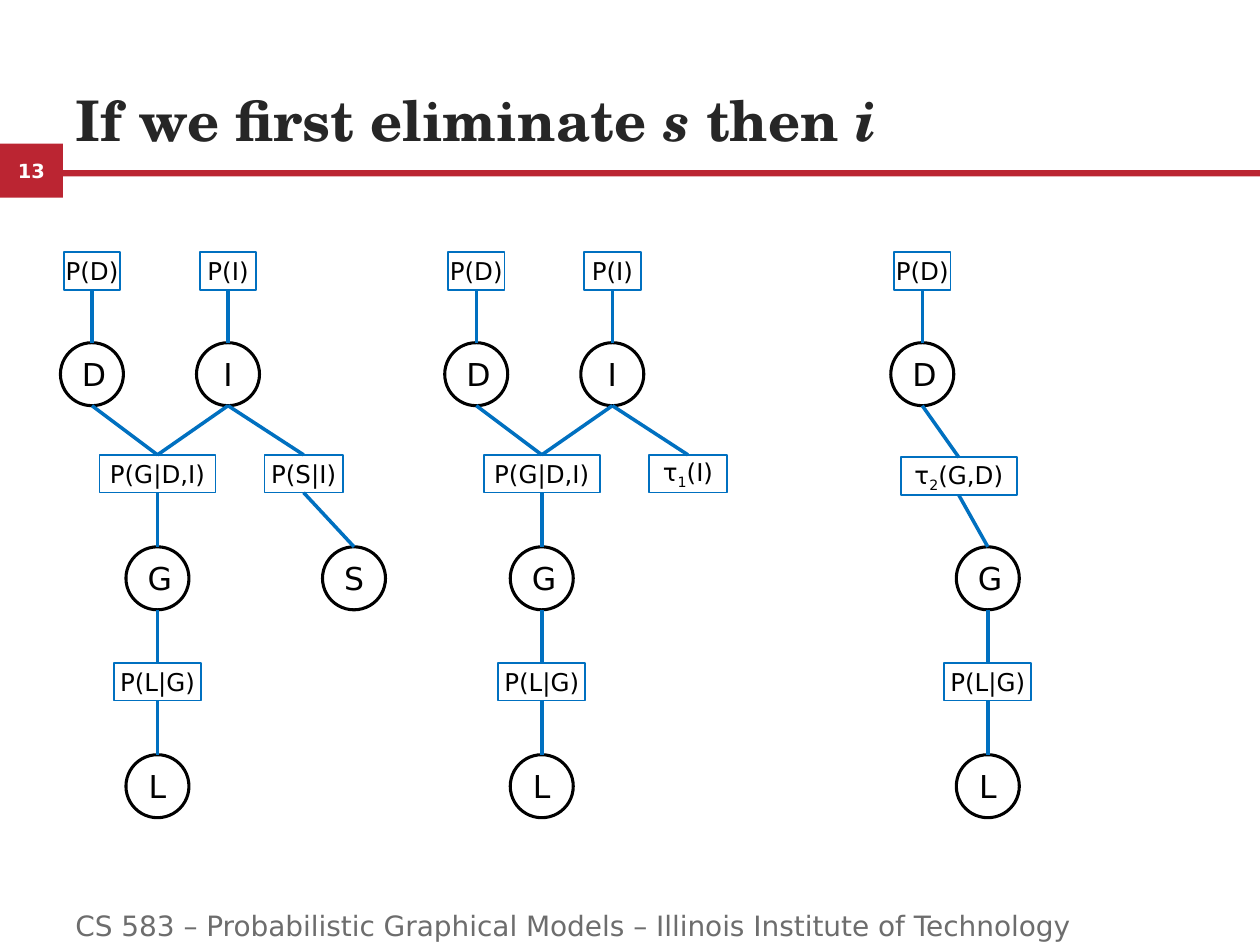
from lxml.etree import SubElement
from pptx import Presentation
from pptx.dml.color import RGBColor
from pptx.enum.shapes import MSO_CONNECTOR as CONN, MSO_SHAPE as SHAPE
from pptx.enum.text import MSO_ANCHOR as ANCHOR, MSO_AUTO_SIZE as AUTO, PP_ALIGN as ALIGN
from pptx.oxml.ns import qn
from pptx.util import Pt

RED = RGBColor(0xBB, 0x25, 0x32)
BLUE = RGBColor(0x00, 0x70, 0xC0)
BLACK = RGBColor(0x00, 0x00, 0x00)
WHITE = RGBColor(0xFF, 0xFF, 0xFF)
DARK = RGBColor(0x26, 0x26, 0x26)
GREY = RGBColor(0x6D, 0x6D, 0x6D)
SANS, SERIF = "DejaVu Sans", "TeX Gyre Schola"

TITLE = [("If we first eliminate ", False), ("s ", True), ("then ", False), ("i", True)]
FOOTER = "CS 583 – Probabilistic Graphical Models – Illinois Institute of Technology"
PAGE = "13"

NODE_SIZE, FACTOR_H = 36, 21.6
VARIABLES = {"D": (0, 213.84), "I": (77.76, 213.84), "G": (37.44, 330.48),
             "S": (149.76, 330.48), "L": (37.44, 449.28)}
FACTORS = {"P(D)": (0, 154.8, 32.4), "P(I)": (77.76, 154.8, 32.4),
           "P(G|D,I)": (37.44, 270.72, 66.24), "P(S|I)": (120.96, 270.72, 44.64),
           "τ_1_(I)": (120.96, 270.72, 44.64), "τ_2_(G,D)": (20.88, 272.16, 66.24),
           "P(L|G)": (37.44, 389.52, 49.68)}

TAIL = [("G", "P(L|G)"), ("P(L|G)", "L")]
PRIOR_D = [("P(D)", "D")]
JOINT = PRIOR_D + [("P(I)", "I"), ("D", "P(G|D,I)"), ("I", "P(G|D,I)"),
                   ("P(G|D,I)", "G")] + TAIL
GRAPHS = [
    (272.16, JOINT + [("I", "τ_1_(I)")]),
    (52.56, JOINT + [("I", "P(S|I)"), ("P(S|I)", "S")]),
    (527.04, PRIOR_D + [("D", "τ_2_(G,D)"), ("τ_2_(G,D)", "G")] + TAIL),
]


def apply(obj, **values):
    for name, value in values.items():
        setattr(obj, name, value)


def add_run(p, text, color, **font):
    r = p.add_run()
    r.text = text
    apply(r.font, **font)
    r.font.color.rgb = color
    return r


def add_box(shapes, kind, left, top, width, height, fill=None, line=None, weight=1):
    sp = shapes.add_shape(kind, Pt(left), Pt(top), Pt(width), Pt(height))
    sp.shadow.inherit = False
    if fill is None:
        sp.fill.background()
    else:
        sp.fill.solid()
        sp.fill.fore_color.rgb = fill
    if line is None:
        sp.line.fill.background()
    else:
        sp.line.color.rgb = line
        sp.line.width = Pt(weight)
    sp.text_frame.vertical_anchor = ANCHOR.MIDDLE
    sp.text_frame.paragraphs[0].alignment = ALIGN.CENTER
    return sp


def add_node(shapes, name, origin):
    if name in VARIABLES:
        x, y = VARIABLES[name]
        width = height = NODE_SIZE
        kind, style, size = SHAPE.OVAL, (WHITE, BLACK, 1.75), 18
    else:
        x, y, width = FACTORS[name]
        height = FACTOR_H
        kind, style, size = SHAPE.RECTANGLE, (None, BLUE, 1), 14
    x += origin
    sp = add_box(shapes, kind, x - width / 2, y - height / 2, width, height, *style)
    tf = sp.text_frame
    if name in FACTORS:
        apply(tf, margin_left=0, margin_right=0)
    for i, part in enumerate(name.split("_")):
        r = add_run(tf.paragraphs[0], part, BLACK, name=SANS, size=Pt(size))
        if i % 2:
            r._r.get_or_add_rPr().set("baseline", "-25000")
    return x, y - height / 2, y + height / 2


def add_edge(shapes, upper, lower):
    line = shapes.add_connector(CONN.STRAIGHT, Pt(upper[0]), Pt(upper[2]),
                                Pt(lower[0]), Pt(lower[1]))
    line.line.color.rgb = BLUE
    line.line.width = Pt(2)
    SubElement(line._element.spPr, qn("a:effectLst"))


def add_graph(slide, origin, edges):
    shapes = slide.shapes.add_group_shape().shapes
    names = dict.fromkeys(name for edge in edges for name in edge)
    nodes = {name: add_node(shapes, name, origin) for name in names}
    for upper, lower in edges:
        add_edge(shapes, nodes[upper], nodes[lower])


def main():
    prs = Presentation()
    apply(prs, slide_width=Pt(720), slide_height=Pt(540))
    s = prs.slides.add_slide(prs.slide_layouts[5])

    badge = add_box(s.shapes, SHAPE.RECTANGLE, 0, 82.08, 36, 30.96, RED)
    add_run(badge.text_frame.paragraphs[0], PAGE, WHITE, name=SANS, size=Pt(11.1), bold=True)
    add_box(s.shapes, SHAPE.RECTANGLE, 36, 97.2, 684, 3.6, RED)

    title = s.shapes.title
    apply(title, left=Pt(36), top=Pt(27.36), width=Pt(648), height=Pt(63.36))
    apply(title.text_frame, vertical_anchor=ANCHOR.BOTTOM, auto_size=AUTO.NONE)
    p = title.text_frame.paragraphs[0]
    p.alignment = ALIGN.LEFT
    for text, italic in TITLE:
        add_run(p, text, DARK, name=SERIF, size=Pt(32), bold=True, italic=italic)

    footer = s.shapes.add_textbox(Pt(36), Pt(515.52), Pt(678.24), Pt(23.76))
    footer.text_frame.word_wrap = True
    add_run(footer.text_frame.paragraphs[0], FOOTER, GREY, name=SANS, size=Pt(16))

    for origin, edges in GRAPHS:
        add_graph(s, origin, edges)
    prs.save("out.pptx")


if __name__ == "__main__":
    main()
